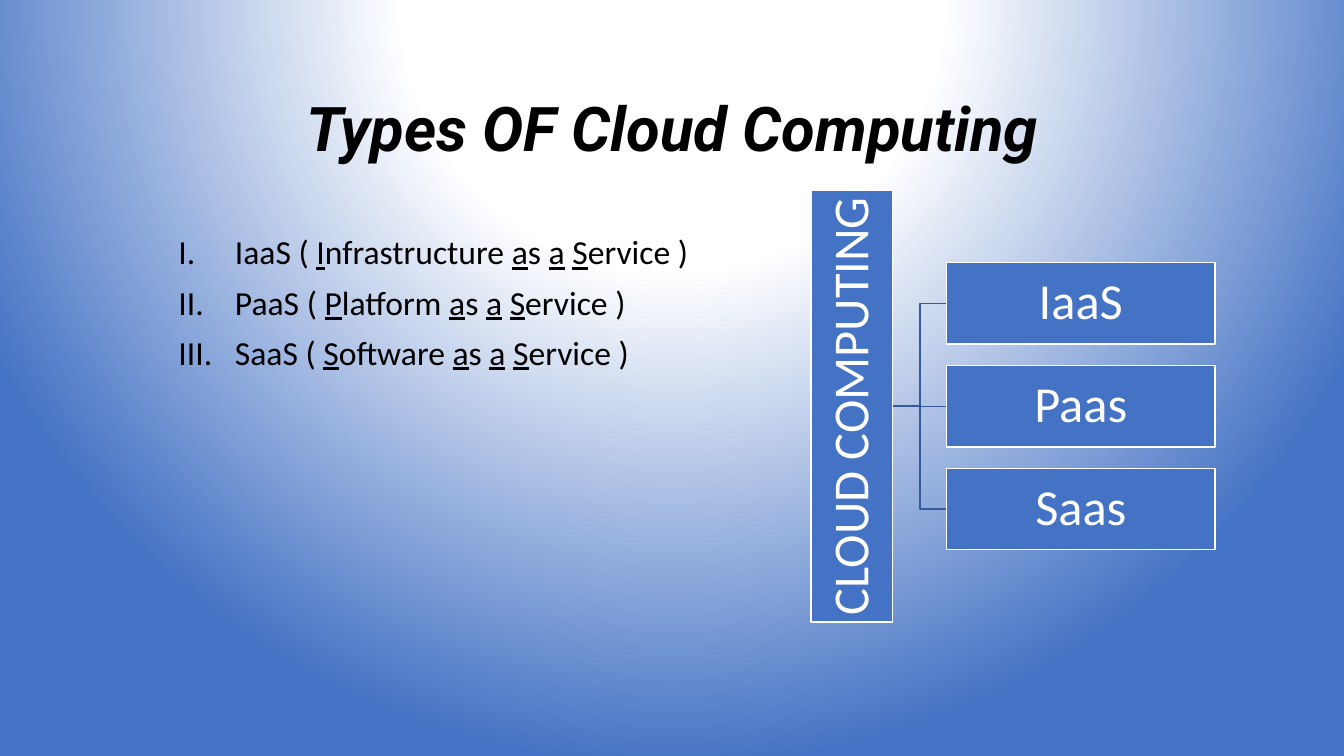
"""Builds the slide on the types of cloud computing."""
from dataclasses import dataclass

from pptx import Presentation
from pptx.dml.color import RGBColor as Rgb
from pptx.enum.shapes import MSO_CONNECTOR as Link, MSO_SHAPE as Shape
from pptx.enum.text import MSO_ANCHOR as Anchor, MSO_AUTO_SIZE as Fit, PP_ALIGN as Align
from pptx.oxml import parse_xml
from pptx.oxml.ns import nsdecls
from pptx.util import Inches, Pt


@dataclass(frozen=True)
class Theme:
    blue: str = "4472C4"
    edge: str = "365B9D"
    white: str = "FFFFFF"
    black: str = "000000"
    head: str = "Roboto"
    body: str = "Calibri"
    big: int = 44
    mid: int = 36
    small: int = 24


class Deck:
    def __init__(self, theme):
        self.theme = theme
        self.show = Presentation()
        self.show.slide_width = Inches(13.33)
        self.show.slide_height = Inches(7.5)
        self.slide = self.show.slides.add_slide(self.show.slide_layouts[0])

    def back(self):
        t = self.theme
        stops = "".join(
            f'<a:gs pos="{pos * 1000}"><a:srgbClr val="{tint}"/></a:gs>'
            for pos, tint in ((0, t.white), (35, t.white), (100, t.blue)))
        self.slide.element.cSld.insert(0, parse_xml(
            f'<p:bg {nsdecls("p", "a")}><p:bgPr><a:gradFill rotWithShape="1">'
            f'<a:gsLst>{stops}</a:gsLst><a:path path="circle">'
            '<a:fillToRect l="50000" t="-80000" r="50000" b="180000"/></a:path>'
            '</a:gradFill><a:effectLst/></p:bgPr></p:bg>'))

    def place(self, item, left, top, width, height):
        item.left, item.top = Inches(left), Inches(top)
        item.width, item.height = Inches(width), Inches(height)
        frame = item.text_frame
        frame.word_wrap, frame.auto_size = True, Fit.NONE
        return frame

    def run(self, para, text, size, tint, face=None):
        run = para.add_run()
        run.text = text
        font = run.font
        font.name, font.size = face or self.theme.body, Pt(size)
        font.color.rgb = Rgb.from_string(tint)
        return font

    def title(self, text, *area):
        t = self.theme
        frame = self.place(self.slide.shapes.title, *area)
        frame.vertical_anchor = Anchor.MIDDLE
        para = frame.paragraphs[0]
        para.alignment, para.line_spacing = Align.CENTER, 0.9
        font = self.run(para, text, t.big, t.black, t.head)
        font.bold = font.italic = True

    def list(self, items, *area):
        t = self.theme
        frame = self.place(self.slide.placeholders[1], *area)
        frame.vertical_anchor = Anchor.TOP
        for i, (short, full) in enumerate(items):
            para = frame.add_paragraph() if i else frame.paragraphs[0]
            props = para._p.get_or_add_pPr()
            props.set("marL", str(Inches(0.56)))
            props.set("indent", str(-Inches(0.56)))
            props.append(parse_xml(
                f'<a:buAutoNum {nsdecls("a")} type="romanUcPeriod"/>'))
            para.alignment, para.line_spacing = Align.LEFT, 0.9
            para.space_before = Pt(10 if i else 0)
            self.run(para, f"{short} ( ", t.small, t.black)
            for word in full.split():
                self.run(para, word[0], t.small, t.black).underline = True
                self.run(para, word[1:] + " ", t.small, t.black)
            self.run(para, ")", t.small, t.black)

    def box(self, text, *area, turn=0):
        t = self.theme
        box = self.slide.shapes.add_shape(Shape.RECTANGLE, 0, 0, 0, 0)
        frame = self.place(box, *area)
        box.rotation, box.shadow.inherit = turn, False
        box.fill.solid()
        box.fill.fore_color.rgb = Rgb.from_string(t.blue)
        box.line.color.rgb = Rgb.from_string(t.white)
        box.line.width = Pt(1)
        frame.margin_left = frame.margin_right = Inches(0.03)
        frame.margin_top = frame.margin_bottom = Inches(0.03)
        frame.vertical_anchor = Anchor.MIDDLE
        para = frame.paragraphs[0]
        para.alignment, para.line_spacing = Align.CENTER, 0.9
        self.run(para, text, t.mid, t.white)

    def link(self, x1, y1, x2, y2):
        kind = Link.STRAIGHT if y1 == y2 else Link.ELBOW
        line = self.slide.shapes.add_connector(
            kind, Inches(x1), Inches(y1), Inches(x2), Inches(y2))
        line.line.color.rgb = Rgb.from_string(self.theme.edge)
        line.line.width = Pt(1)
        line._element.spPr.append(parse_xml(f'<a:effectLst {nsdecls("a")}/>'))

    def tree(self, root, leaves):
        left, mid, gap = 9.39, 4.03, 1.02
        wide, high, long = 2.66, 0.81, 4.28
        rows = [mid + (i - (len(leaves) - 1) / 2) * gap
                for i in range(len(leaves))]
        for row in rows:
            self.link(8.86, mid, left, row)
        self.box(root, 8.45 - long / 2, mid - high / 2, long, high, turn=270)
        for leaf, row in zip(leaves, rows):
            self.box(leaf, left, row - high / 2, wide, high)


def main():
    deck = Deck(Theme())
    deck.back()
    deck.title("Types OF Cloud Computing", 1.67, 0.4, 10, 1.81)
    deck.list([("IaaS", "Infrastructure as a Service"),
               ("PaaS", "Platform as a Service"),
               ("SaaS", "Software as a Service")], 1.67, 2.29, 6.46, 4.64)
    deck.tree("CLOUD COMPUTING", ["IaaS", "Paas", "Saas"])
    deck.show.save("out.pptx")


if __name__ == "__main__":
    main()
